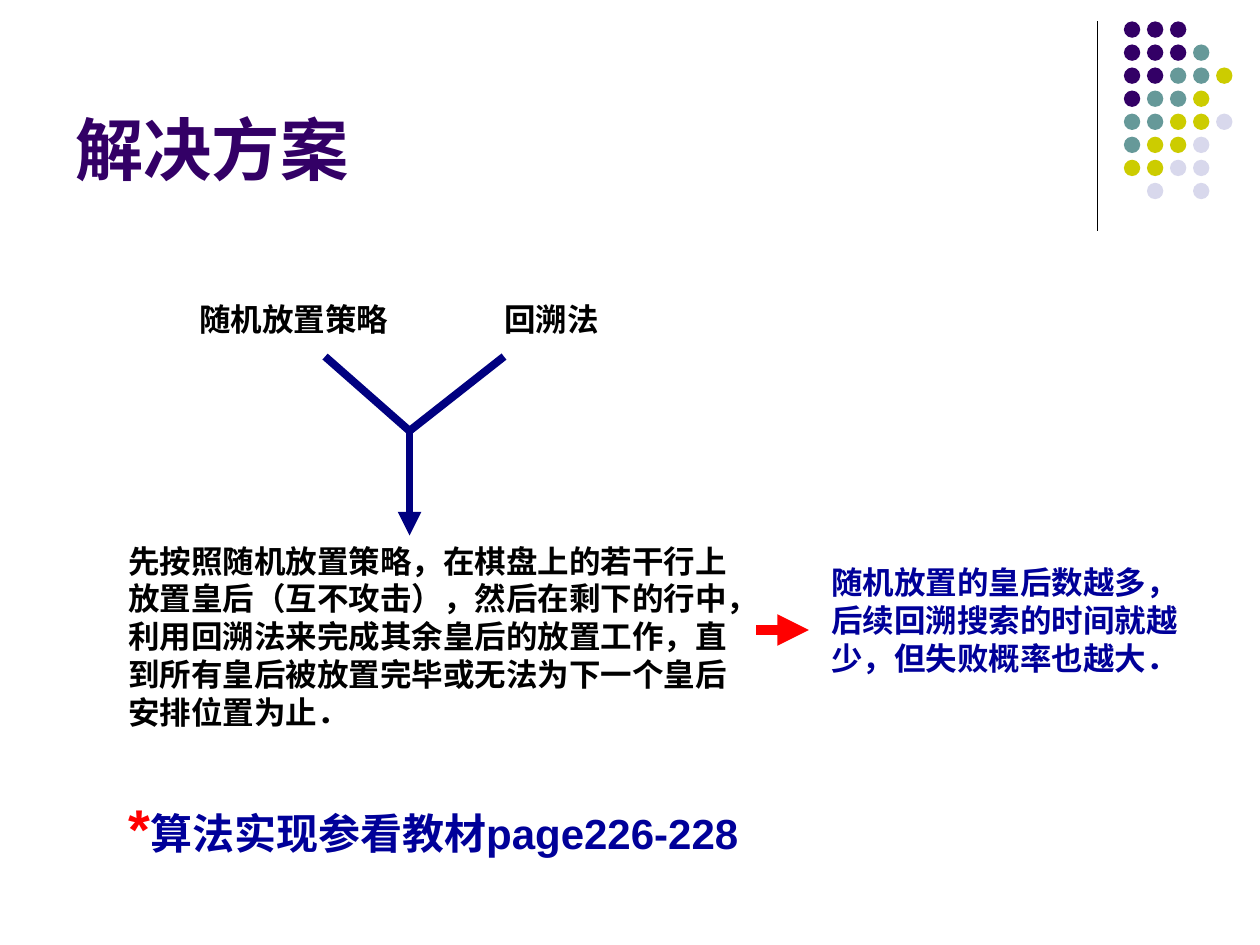
from lxml import etree
from pptx import Presentation
from pptx.dml.color import RGBColor
from pptx.enum import shapes as sh, text as tx
from pptx.oxml.ns import qn
from pptx.util import Inches, Pt


def paint(hue):
    return RGBColor.from_string(hue)


def rule(start, end, hue, width, arrow=False):
    line = slide.shapes.add_connector(
        sh.MSO_CONNECTOR.STRAIGHT, *[Inches(v) for v in start + end])
    line.line.color.rgb = paint(hue)
    line.line.width = Pt(width)
    if arrow:
        etree.SubElement(line.line._get_or_add_ln(), qn("a:tailEnd"), type="triangle")
    etree.SubElement(line._element.spPr, qn("a:effectLst"))


deck = Presentation()
deck.slide_width, deck.slide_height = Inches(10), Inches(7.5)
slide = deck.slides.add_slide(deck.slide_layouts[6])

# Corner ornament: a rule and a grid of dots
rule((8.71, 0.17), (8.71, 1.83), "000000", 0.75)
hues = {"P": "330066", "T": "669999", "Y": "CCCC00", "L": "D8D8EC"}
grid = ["PPP", "PPPT", "PPTTY", "PTTY", "TTYYL", "TYYL", "YYLL", " L L"]
for row, marks in enumerate(grid):
    for col, mark in enumerate(marks):
        if mark in hues:
            dot = slide.shapes.add_shape(
                sh.MSO_SHAPE.OVAL, Inches(8.92 + col * 0.183),
                Inches(0.17 + row * 0.183), Inches(0.13), Inches(0.13))
            dot.shadow.inherit = False
            dot.fill.solid()
            dot.fill.fore_color.rgb = paint(hues[mark])
            dot.line.fill.background()

# Lines joining the two methods, and the arrow to the result
join = (3.25, 3.42)
rule((2.58, 2.83), join, "000080", 4.5)
rule(join, (4, 2.83), "000080", 4.5)
rule(join, (3.25, 4.25), "000080", 4.5, arrow=True)
rule((6, 5), (6.42, 5), "FF0000", 6, arrow=True)

# Texts: place, alignment, anchor, runs of (words, size, colour)
left, mid = tx.PP_ALIGN.LEFT, tx.PP_ALIGN.CENTER
top, low = tx.MSO_ANCHOR.TOP, tx.MSO_ANCHOR.BOTTOM
plan = "先按照随机放置策略，在棋盘上的若干行上放置皇后（互不攻击），然后在剩下的行中，利用回溯法来完成其余皇后的放置工作，直到所有皇后被放置完毕或无法为下一个皇后安排位置为止．"
cost = "随机放置的皇后数越多，后续回溯搜索的时间就越少，但失败概率也越大．"
texts = [
    ((0.5, 0.13, 8.25, 1.42), left, low, [("解决方案", 39, "330066")]),
    ((1.33, 2.33, 2, 0.4), mid, top, [("随机放置策略", 18, "000000")]),
    ((3.75, 2.33, 1.25, 0.4), mid, top, [("回溯法", 18, "000000")]),
    ((0.92, 4.25, 5.08, 1.6), left, top, [(plan, 18, "000000")]),
    ((6.5, 4.42, 3.08, 1), left, top, [(cost, 18, "000099")]),
    ((0.92, 6.25, 7.42, 0.64), left, top,
     [("*", 32, "FF0000"), ("算法实现参看教材page226-228", 24, "000099")]),
]
for place, align, anchor, runs in texts:
    frame = slide.shapes.add_textbox(*[Inches(v) for v in place]).text_frame
    frame.word_wrap = True
    frame.vertical_anchor = anchor
    para = frame.paragraphs[0]
    para.alignment = align
    para.font.name = "Arial"
    para.font.bold = True
    for words, size, hue in runs:
        run = para.add_run()
        run.text = words
        font = para.font if len(runs) == 1 else run.font
        font.size = Pt(size)
        font.color.rgb = paint(hue)

deck.save("out.pptx")
